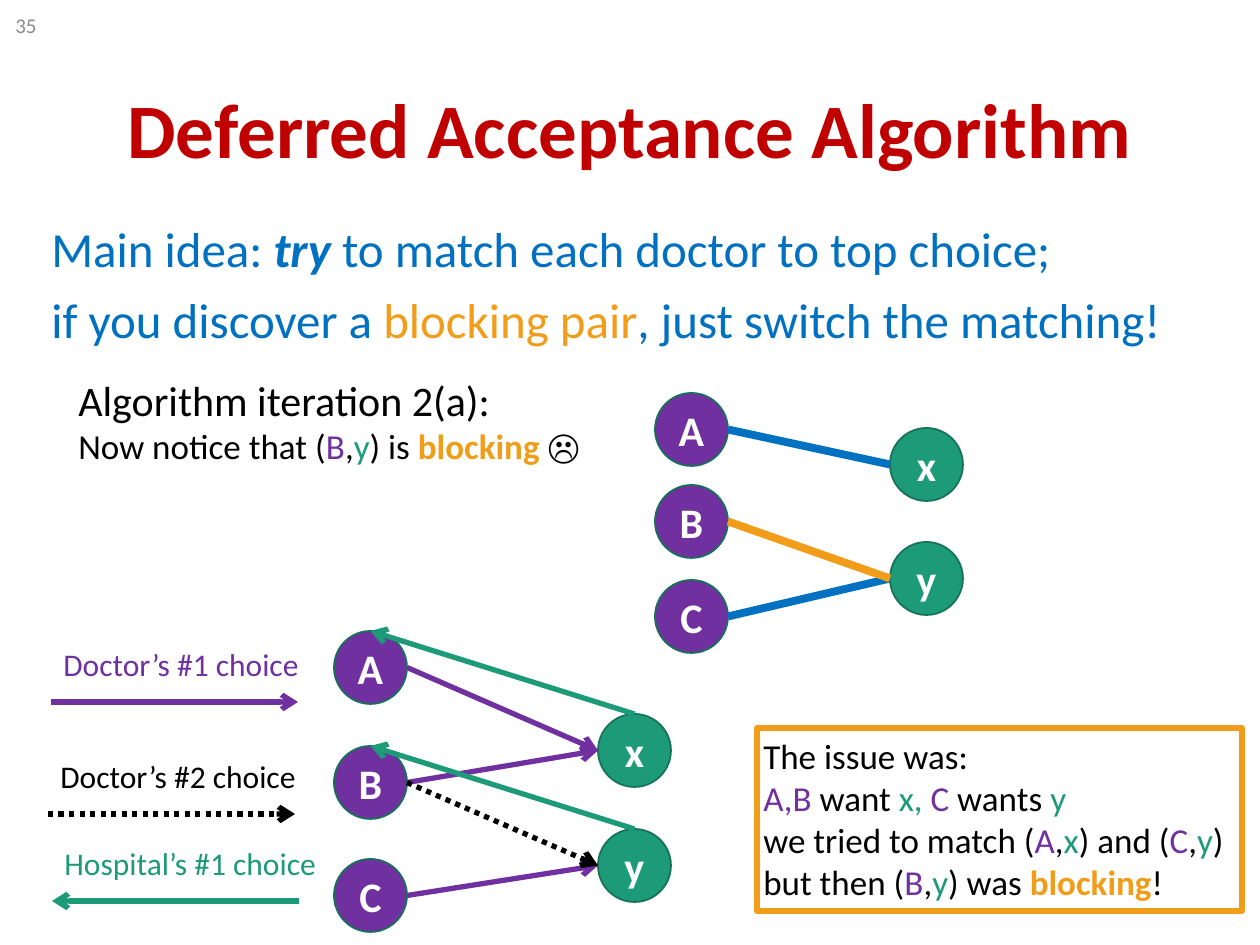
from lxml import etree
from pptx import Presentation
from pptx import util as u
from pptx.dml.color import RGBColor
from pptx.enum import dml, shapes, text
from pptx.oxml.ns import qn

SCALE = u.Inches(1) / 126
NODE = 73
PURPLE, GREEN, ORANGE = "7030A0", "1D9A78", "F19D19"
BLUE, BLACK, WHITE, RED, GREY = "0070C0", "000000", "FFFFFF", "C00000", "8C8C8C"
DOCTOR_1 = {"color": PURPLE, "arrow": True}
DOCTOR_2 = {"color": BLACK, "arrow": True, "dash": dml.MSO_LINE.ROUND_DOT}
HOSPITAL_1 = {"color": GREEN, "arrow": True}
MATCH = {"color": BLUE, "width": 4.5}
BLOCKING = {"color": ORANGE, "width": 4.5}
BOLD = {"bold": True}


def px(*lengths):
    return [round(length * SCALE) for length in lengths]


def paint(color_format, color):
    color_format.rgb = RGBColor.from_string(color)


def set_all(target, values):
    for name, value in values.items():
        setattr(target, name, value)


def write(box, lines, frame=None, paragraph=None, space=0):
    set_all(box.text_frame, {"word_wrap": False, **(frame or {})})
    for index, (size, spans) in enumerate(lines):
        para = box.text_frame.paragraphs[0] if index == 0 else box.text_frame.add_paragraph()
        set_all(para, paragraph or {})
        if index and space:
            para.space_before = u.Pt(space)
        for words, color, *extra in spans:
            span = para.add_run()
            span.text = words
            style = {"name": "Calibri", "size": u.Pt(size), "bold": False}
            set_all(span.font, style | (extra[0] if extra else {}))
            paint(span.font.color, color)


def add_text(page, area, lines, **layout):
    write(page.shapes.add_textbox(*px(*area)), lines, **layout)


def add_line(page, start, end, color, width=3, arrow=False, dash=None):
    line = page.shapes.add_connector(shapes.MSO_CONNECTOR.STRAIGHT, *px(*start, *end))
    paint(line.line.color, color)
    set_all(line.line, {"width": u.Pt(width), "dash_style": dash})
    properties = line._element.spPr
    if arrow:
        etree.SubElement(properties.find(qn("a:ln")), qn("a:tailEnd"), type="arrow")
    etree.SubElement(properties, qn("a:effectLst"))


def add_node(page, left, top, name, color):
    node = page.shapes.add_shape(shapes.MSO_SHAPE.OVAL, *px(left, top, NODE, NODE))
    node.shadow.inherit = False
    node.fill.solid()
    paint(node.fill.fore_color, color)
    paint(node.line.color, "157259")
    node.line.width = u.Pt(1)
    write(node, [(24, [(name, WHITE, BOLD)])],
          {"vertical_anchor": text.MSO_ANCHOR.MIDDLE},
          {"alignment": text.PP_ALIGN.CENTER})


def add_graph(page, left, top, doctors, hospitals, gap, edges):
    columns = [(doctors, 0, PURPLE), (hospitals, gap, GREEN)]
    nodes = {}
    for names, offset, color in columns:
        for name, drop in names.items():
            nodes[name] = (left + offset, top + drop)
            add_node(page, *nodes[name], name, color)
    half = NODE / 2
    for start, end, style in edges:
        (x1, y1), (x2, y2) = nodes[start], nodes[end]
        if start in hospitals:
            points = (x1 + half, y1), (x2 + half, y2)
        else:
            points = (x1 + NODE, y1 + half), (x2, y2 + half)
        add_line(page, *points, **style)


def add_legend_entry(page, left, top, width, label, style, leftward=False):
    ends = [(left, top + 63), (left + 247, top + 63)]
    if leftward:
        ends.reverse()
    add_line(page, *ends, **style)
    add_text(page, (left, top, width, 50), [(18, [(label, style["color"])])])


def add_heading(page, left, top, width):
    add_text(page, (left, top, width, 183),
             [(44, [("Deferred Acceptance Algorithm", RED, BOLD)])],
             frame={"word_wrap": True, "vertical_anchor": text.MSO_ANCHOR.MIDDLE},
             paragraph={"alignment": text.PP_ALIGN.CENTER, "line_spacing": 0.9})


def add_main_idea(page, left, top, width, height):
    lines = [
        (28, [("Main idea: ", BLUE), ("try", BLUE, {"bold": True, "italic": True}),
              (" to match each doctor to top choice;", BLUE)]),
        (28, [("if you discover a ", BLUE), ("blocking pair", ORANGE),
              (", just switch the matching!", BLUE)]),
    ]
    add_text(page, (left, top, width, height), lines,
             frame={"word_wrap": True}, paragraph={"line_spacing": 0.9}, space=10)


def add_iteration(page, left, top, width, height):
    lines = [
        (24, [("Algorithm iteration 2(a):", BLACK)]),
        (20, [("Now notice that (", BLACK), ("B", PURPLE), (",", BLACK), ("y", GREEN),
              (") is ", BLACK), ("blocking ", ORANGE, BOLD), ("☹", BLACK)]),
    ]
    add_text(page, (left, top, width, height), lines)


def add_issue(page, left, top, width, height):
    box = page.shapes.add_shape(shapes.MSO_SHAPE.RECTANGLE, *px(left, top, width, height))
    box.shadow.inherit = False
    box.fill.background()
    paint(box.line.color, ORANGE)
    box.line.width = u.Pt(3)
    lines = [
        [("The issue was:", BLACK)],
        [("A,B", PURPLE), (" want ", BLACK), ("x, ", GREEN), ("C", PURPLE),
         (" wants ", BLACK), ("y", GREEN)],
        [("we tried to match (", BLACK), ("A", PURPLE), (",", BLACK), ("x", GREEN),
         (") and (", BLACK), ("C", PURPLE), (",", BLACK), ("y", GREEN), (")", BLACK)],
        [("but then (", BLACK), ("B", PURPLE), (",", BLACK), ("y", GREEN),
         (") was ", BLACK), ("blocking", ORANGE, BOLD), ("!", BLACK)],
    ]
    margins = {f"margin_{side}": u.Inches(0.05) for side in ("left", "top", "right", "bottom")}
    write(box, [(20, spans) for spans in lines],
          margins | {"vertical_anchor": text.MSO_ANCHOR.TOP},
          {"alignment": text.PP_ALIGN.LEFT})


def add_page_number(page, left, top, width, height):
    add_text(page, (left, top, width, height), [(12, [("35", GREY)])],
             frame={"word_wrap": True, "vertical_anchor": text.MSO_ANCHOR.MIDDLE},
             paragraph={"alignment": text.PP_ALIGN.RIGHT})


def main():
    deck = Presentation()
    deck.slide_width, deck.slide_height = px(1260, 945)
    page = deck.slides.add_slide(deck.slide_layouts[6])

    add_graph(page, 334, 631, {"A": 0, "B": 115, "C": 228}, {"x": 83, "y": 198}, 264, [
        ("B", "x", DOCTOR_1), ("A", "x", DOCTOR_1), ("x", "A", HOSPITAL_1),
        ("y", "B", HOSPITAL_1), ("C", "y", DOCTOR_1), ("B", "y", DOCTOR_2)])
    add_legend_entry(page, 51, 639, 263, "Doctor’s #1 choice", DOCTOR_1)
    add_legend_entry(page, 48, 751, 263, "Doctor’s #2 choice", DOCTOR_2)
    add_legend_entry(page, 52, 838, 280, "Hospital’s #1 choice", HOSPITAL_1, leftward=True)
    add_heading(page, 87, 42, 1086)
    add_main_idea(page, 39, 219, 1191, 600)
    add_graph(page, 655, 393, {"A": 0, "B": 92, "C": 187}, {"x": 35, "y": 149}, 235, [
        ("A", "x", MATCH), ("C", "y", MATCH), ("B", "y", BLOCKING)])
    add_iteration(page, 66, 368, 529, 149)
    add_page_number(page, 0, 0, 49, 50)
    add_issue(page, 757, 728, 485, 183)
    deck.save("out.pptx")


if __name__ == "__main__":
    main()
